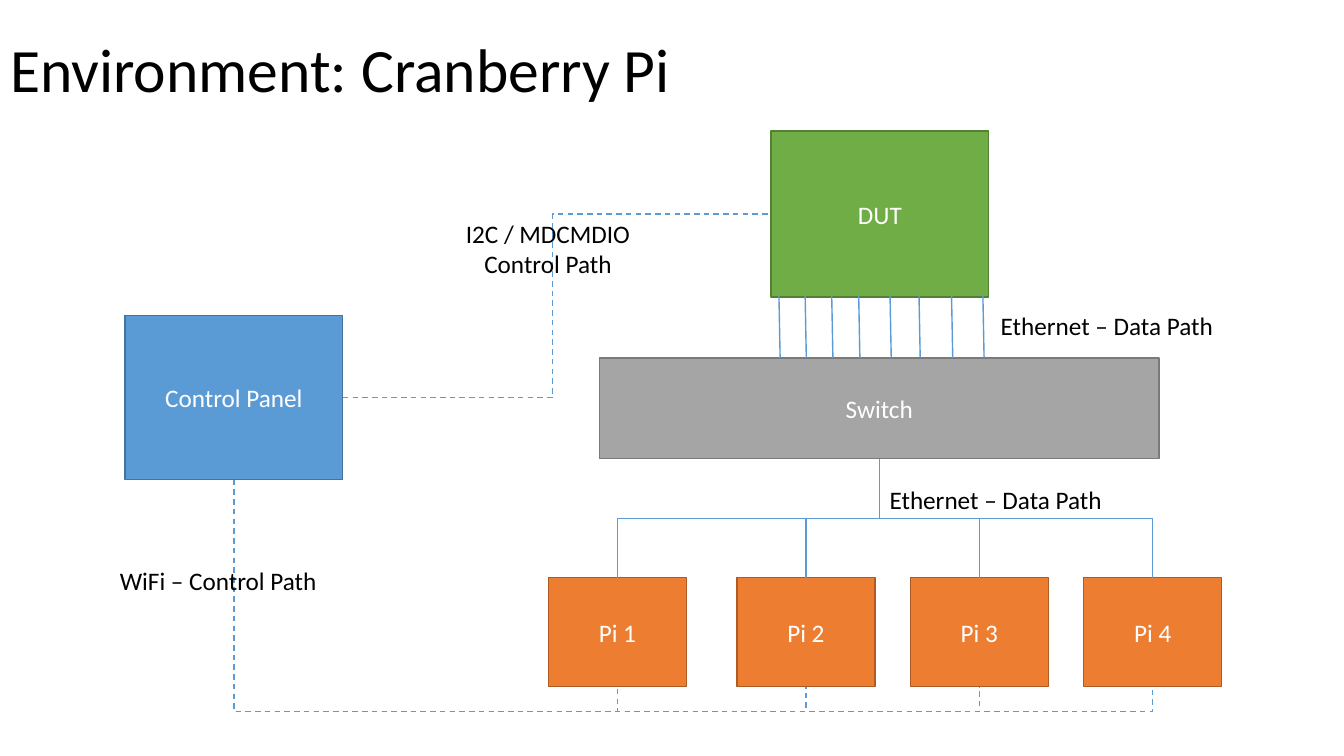
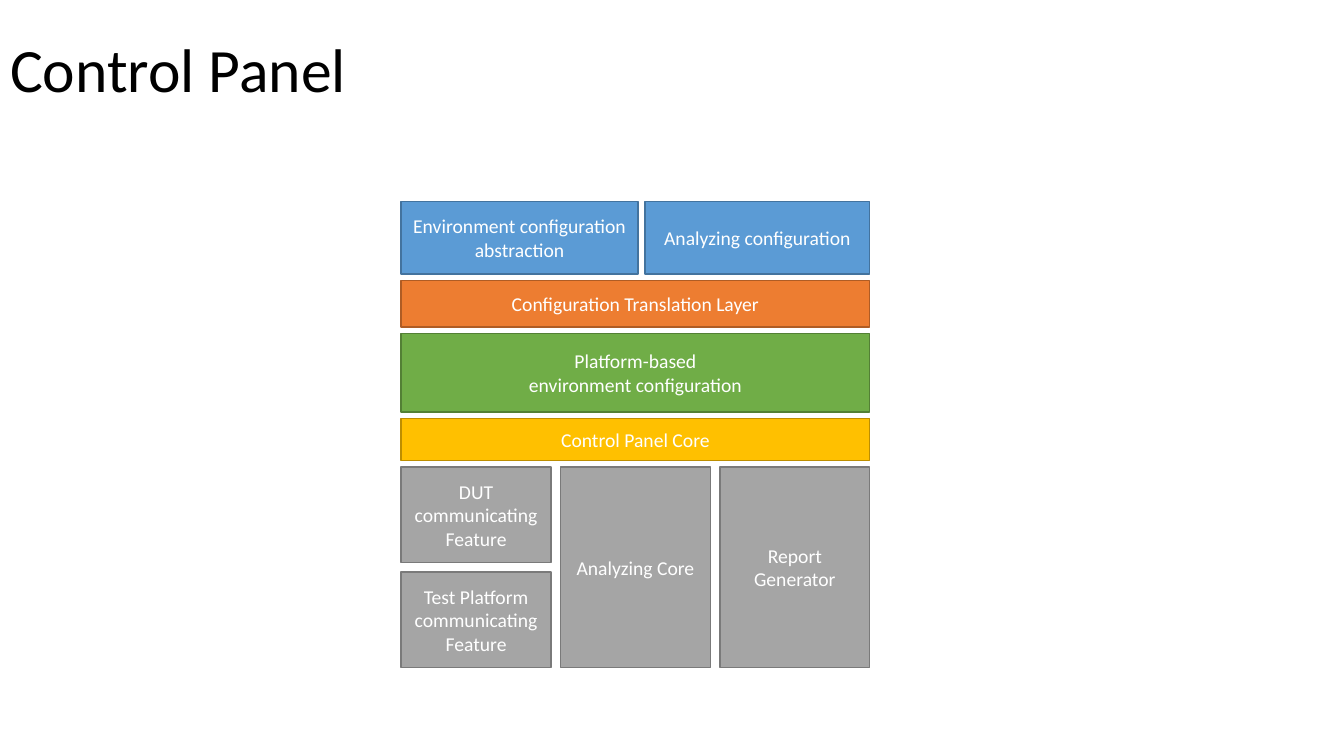
"""Two slides: a test environment and the layers of its control panel."""
from lxml import etree
from pptx import Presentation
from pptx import util as u
from pptx.dml.color import RGBColor
from pptx.enum import dml, shapes, text
from pptx.oxml.ns import qn

FONT = "Calibri"
COLOURS = {
    "blue": "5B9BD5", "blue_edge": "43739E",
    "green": "70AD47", "green_edge": "538035",
    "grey": "A5A5A5", "grey_edge": "7A7A7A",
    "orange": "ED7D31", "orange_edge": "AF5C24",
    "yellow": "FFC000", "yellow_edge": "BD8E00",
    "white": "FFFFFF", "black": "000000",
}
TITLE_ONLY = 5
TOP, LEFT, BOTTOM, RIGHT = range(4)  # connection sites of a rectangle


def colour(name):
    """Return the named colour."""
    return RGBColor.from_string(COLOURS[name])


def write(frame, words, size, ink, align):
    """Fill a text frame and format its paragraphs and runs."""
    frame.text = words
    for paragraph in frame.paragraphs:
        paragraph.alignment = align
        for run in paragraph.runs:
            run.font.name = FONT
            run.font.size = u.Pt(size)
            run.font.color.rgb = colour(ink)


def add_titled_slide(deck, words):
    """Add a slide with the shared title style."""
    slide = deck.slides.add_slide(deck.slide_layouts[TITLE_ONLY])
    title = slide.shapes.title
    title.left, title.top = u.Cm(0), u.Cm(0)
    title.width, title.height = u.Cm(29.21), u.Cm(3.68)
    frame = title.text_frame
    write(frame, words, 44, "black", text.PP_ALIGN.LEFT)
    frame.vertical_anchor = text.MSO_ANCHOR.MIDDLE
    frame.auto_size = text.MSO_AUTO_SIZE.NONE
    frame.paragraphs[0].line_spacing = 0.9
    return slide


def add_block(slide, words, hue, left, top, width, height, size=18):
    """Add a filled rectangle with centred white text; lengths in cm."""
    block = slide.shapes.add_shape(
        shapes.MSO_SHAPE.RECTANGLE,
        u.Cm(left), u.Cm(top), u.Cm(width), u.Cm(height))
    block.shadow.inherit = False
    block.fill.solid()
    block.fill.fore_color.rgb = colour(hue)
    block.line.color.rgb = colour(hue + "_edge")
    block.line.width = u.Pt(1)
    block.text_frame.word_wrap = True
    block.text_frame.vertical_anchor = text.MSO_ANCHOR.MIDDLE
    write(block.text_frame, words, size, "white", text.PP_ALIGN.CENTER)
    return block


def add_label(slide, words, left, top, width, height=1.02,
              align=text.PP_ALIGN.LEFT):
    """Add a free label that grows with its text; lengths in cm."""
    label = slide.shapes.add_textbox(
        u.Cm(left), u.Cm(top), u.Cm(width), u.Cm(height))
    label.text_frame.word_wrap = False
    label.text_frame.auto_size = text.MSO_AUTO_SIZE.SHAPE_TO_FIT_TEXT
    write(label.text_frame, words, 18, "black", align)


def add_line(slide, kind, start=(0, 0), end=(0, 0), dashed=False):
    """Add a thin blue connector between two points in cm."""
    line = slide.shapes.add_connector(
        kind, *(u.Cm(value) for value in (*start, *end)))
    line.line.color.rgb = colour("blue")
    line.line.width = u.Pt(1)
    if dashed:
        line.line.dash_style = dml.MSO_LINE.DASH
    etree.SubElement(line._element.spPr, qn("a:effectLst"))
    return line


def add_elbow(slide, source, source_site, target, target_site,
              bend=None, dashed=False):
    """Glue an elbow to two blocks; bend is where its middle leg lies."""
    elbow = add_line(slide, shapes.MSO_CONNECTOR.ELBOW, dashed=dashed)
    elbow.begin_connect(source, source_site)
    elbow.end_connect(target, target_site)
    if source_site == BOTTOM:
        turn_downwards(elbow)
    if bend is not None:
        guides = elbow._element.spPr.find(qn("a:prstGeom")).find(qn("a:avLst"))
        etree.SubElement(guides, qn("a:gd"), name="adj1",
                         fmla=f"val {round(bend * 100000)}")
    return elbow


def turn_downwards(elbow):
    """Rotate an elbow so that it leaves its start point vertically."""
    run, drop = elbow.end_x - elbow.begin_x, elbow.end_y - elbow.begin_y
    middle_x = (elbow.begin_x + elbow.end_x) // 2
    middle_y = (elbow.begin_y + elbow.end_y) // 2
    elbow.width, elbow.height = drop, abs(run)
    elbow.left, elbow.top = middle_x - drop // 2, middle_y - abs(run) // 2
    frame = elbow._element.spPr.find(qn("a:xfrm"))
    frame.set("rot", str((270 if run > 0 else 90) * 60000))
    frame.set("flipH", "1" if run > 0 else "0")


def build_environment(deck):
    """Draw the device, switch, boards and the paths between them."""
    slide = add_titled_slide(deck, "Environment: Cranberry Pi")
    panel = add_block(slide, "Control Panel", "blue", 3.15, 7.95, 5.49, 4.14)
    device = add_block(slide, "DUT", "green", 19.43, 3.3, 5.49, 4.19)
    switch = add_block(slide, "Switch", "grey", 15.11, 9.02, 14.1, 2.54)
    for x in (19.63, 20.29, 20.96, 21.64, 22.43, 23.16, 23.98, 24.77):
        add_line(slide, shapes.MSO_CONNECTOR.STRAIGHT,
                 (x, 7.46), (x + 0.03, 9.02))

    boards = [add_block(slide, f"Pi {number}", "orange", left, 14.56, 3.48, 2.74)
              for number, left in enumerate((13.82, 18.57, 22.94, 27.31), 1)]
    for board in boards:
        add_elbow(slide, switch, BOTTOM, board, TOP)
    add_elbow(slide, panel, RIGHT, device, LEFT, bend=0.49, dashed=True)
    add_label(slide, "I2C / MDCMDIO\nControl Path", 11.46, 5.38, 4.7, 1.8,
              text.PP_ALIGN.CENTER)
    for board in boards:
        add_elbow(slide, panel, BOTTOM, board, BOTTOM, bend=1.12, dashed=True)

    add_label(slide, "WiFi – Control Path", 2.77, 14.12, 5.54)
    for left, top in ((24.97, 7.7), (22.17, 12.07)):
        add_label(slide, "Ethernet – Data Path", left, top, 5.92)


def build_control_panel(deck):
    """Stack the layers of the control panel above its three features."""
    slide = add_titled_slide(deck, "Control Panel")
    left, top, width = 10.11, 5.08, 11.81
    row_gap, column_gap = 0.16, 0.24
    layers = [
        (1.83, "blue", [("Environment configuration abstraction", 5.97),
                        ("Analyzing configuration", 5.66)]),
        (1.17, "orange", [("Configuration Translation Layer", width)]),
        (1.98, "green", [("Platform-based\nenvironment configuration", width)]),
        (1.07, "yellow", [("Control Panel Core", width)]),
    ]
    for height, hue, parts in layers:
        x = left
        for words, part_width in parts:
            add_block(slide, words, hue, x, top, part_width, height, 14)
            x += part_width + 0.18
        top += height + row_gap

    features = [
        ["DUT communicating\nFeature", "Test Platform communicating\nFeature"],
        ["Analyzing Core"],
        ["Report Generator"],
    ]
    column_width = (width - 2 * column_gap) / 3
    for column, stack in enumerate(features):
        height = (5.05 - (len(stack) - 1) * column_gap) / len(stack)
        for row, words in enumerate(stack):
            add_block(slide, words, "grey",
                      left + column * (column_width + column_gap),
                      top + row * (height + column_gap),
                      column_width, height, 14)


def main():
    """Build and save the deck."""
    deck = Presentation()
    deck.slide_width, deck.slide_height = u.Cm(33.87), u.Cm(19.05)
    build_environment(deck)
    build_control_panel(deck)
    deck.save("out.pptx")


main()
